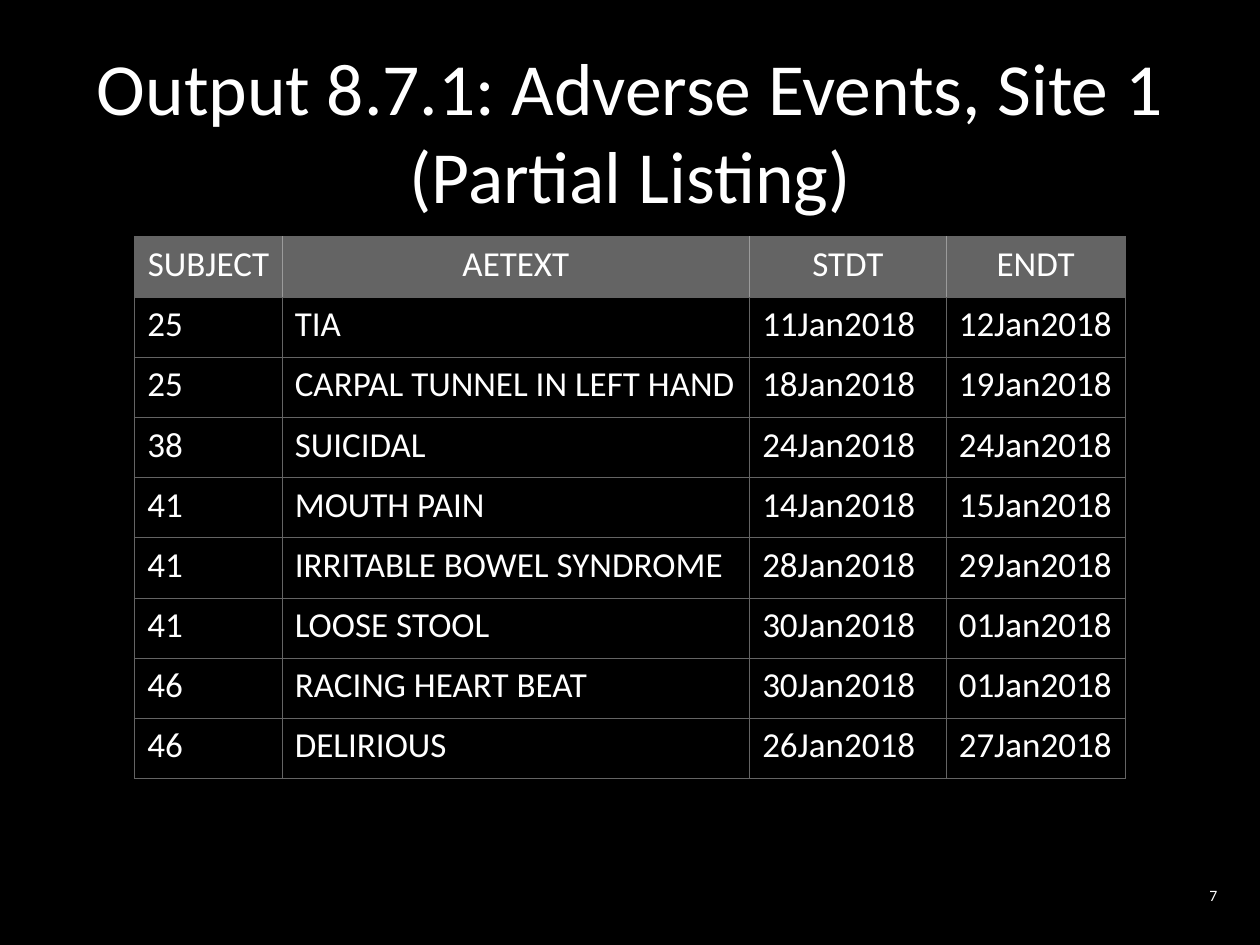
from lxml.etree import SubElement as Sub
from pptx import Presentation
from pptx.dml.color import RGBColor as RGB
from pptx.enum.text import MSO_ANCHOR as Anchor, PP_ALIGN as Align
from pptx.oxml.ns import qn
from pptx.util import Inches, Pt

BLACK = RGB(0x00, 0x00, 0x00)
WHITE = RGB(0xFF, 0xFF, 0xFF)
GREY = RGB(0x64, 0x64, 0x64)
PALE = RGB(0x9B, 0x9B, 0x9B)

HEAD = ("SUBJECT", "AETEXT", "STDT", "ENDT")
EVENTS = [
    ("25", "TIA", "11Jan2018", "12Jan2018"),
    ("25", "CARPAL TUNNEL IN LEFT HAND", "18Jan2018", "19Jan2018"),
    ("38", "SUICIDAL", "24Jan2018", "24Jan2018"),
    ("41", "MOUTH PAIN", "14Jan2018", "15Jan2018"),
    ("41", "IRRITABLE BOWEL SYNDROME", "28Jan2018", "29Jan2018"),
    ("41", "LOOSE STOOL", "30Jan2018", "01Jan2018"),
    ("46", "RACING HEART BEAT", "30Jan2018", "01Jan2018"),
    ("46", "DELIRIOUS", "26Jan2018", "27Jan2018"),
]
WIDTHS = (1.17, 3.71, 1.56, 1.42)


class Deck:
    """Holds the text style and the current slide."""

    def __init__(self, slide, font="Calibri", color=WHITE):
        self.slide = slide
        self.font = font
        self.color = color

    def words(self, frame, text, size, align):
        frame.text = text
        for para in frame.paragraphs:
            para.alignment = align
            for run in para.runs:
                run.font.name = self.font
                run.font.size = Pt(size)
                run.font.color.rgb = self.color

    def place(self, shape, box):
        shape.left, shape.top, shape.width, shape.height = map(Inches, box)

    def title(self, text, box, size):
        shape = self.slide.shapes.title
        self.place(shape, box)
        shape.text_frame.vertical_anchor = Anchor.MIDDLE
        self.words(shape.text_frame, text, size, Align.CENTER)

    def label(self, text, box, size, align):
        frame = self.slide.shapes.add_textbox(*map(Inches, box)).text_frame
        frame.word_wrap = True
        frame.vertical_anchor = Anchor.MIDDLE
        self.words(frame, text, size, align)

    def border(self, cell, side, color):
        props = cell._tc.get_or_add_tcPr()
        line = Sub(props, qn(f"a:ln{side}"), w=str(Pt(0.5)))
        fill = Sub(line, qn("a:solidFill"))
        Sub(fill, qn("a:srgbClr"), val=str(color))

    def table(self, rows, widths, left, top, height, size):
        shape = self.slide.shapes.add_table(
            len(rows), len(widths), Inches(left), Inches(top),
            Inches(sum(widths)), Inches(height))
        grid = shape.table
        for col, width in zip(grid.columns, widths):
            col.width = Inches(width)
        last = len(widths) - 1
        for r, row in enumerate(rows):
            head = r == 0
            for c, text in enumerate(row):
                cell = grid.cell(r, c)
                self.words(cell.text_frame, text, size,
                           Align.CENTER if head else Align.LEFT)
                # Dividers inside the header are paler than the rest
                self.border(cell, "L", PALE if head and c > 0 else GREY)
                self.border(cell, "R", PALE if head and c < last else GREY)
                self.border(cell, "T", GREY)
                self.border(cell, "B", GREY)
                cell.fill.solid()
                cell.fill.fore_color.rgb = GREY if head else BLACK


def main():
    show = Presentation()
    show.slide_width, show.slide_height = Inches(10), Inches(7.5)
    slide = show.slides.add_slide(show.slide_layouts[5])
    slide.background.fill.solid()
    slide.background.fill.fore_color.rgb = BLACK
    deck = Deck(slide)

    # Title
    deck.title("Output 8.7.1: Adverse Events, Site 1\v(Partial Listing)",
               (0.25, 0.25, 9.5, 1.56), 42)

    # Adverse events listing
    deck.table([HEAD] + EVENTS, WIDTHS, 1.07, 1.88, 4.3, 20)

    # Page number
    deck.label("7", (7.38, 6.96, 2.38, 0.29), 9, Align.RIGHT)

    show.save("out.pptx")


if __name__ == "__main__":
    main()
